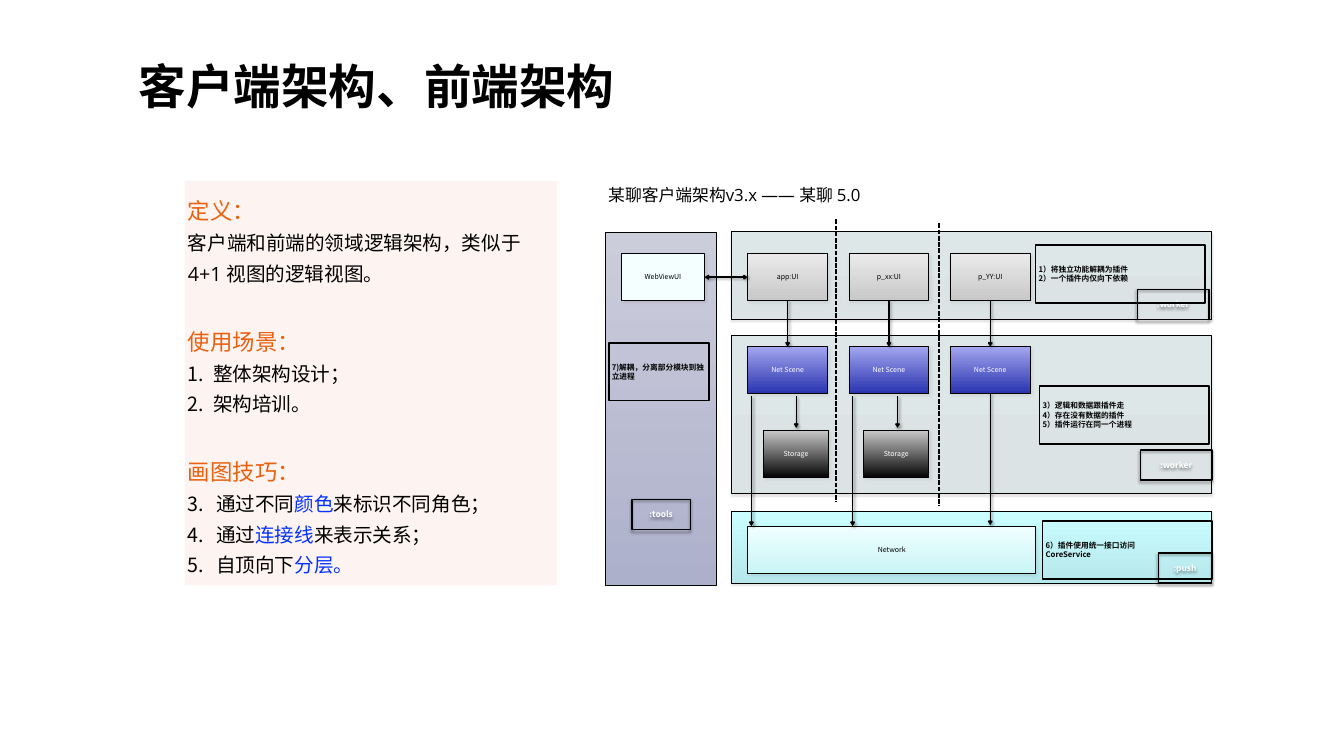
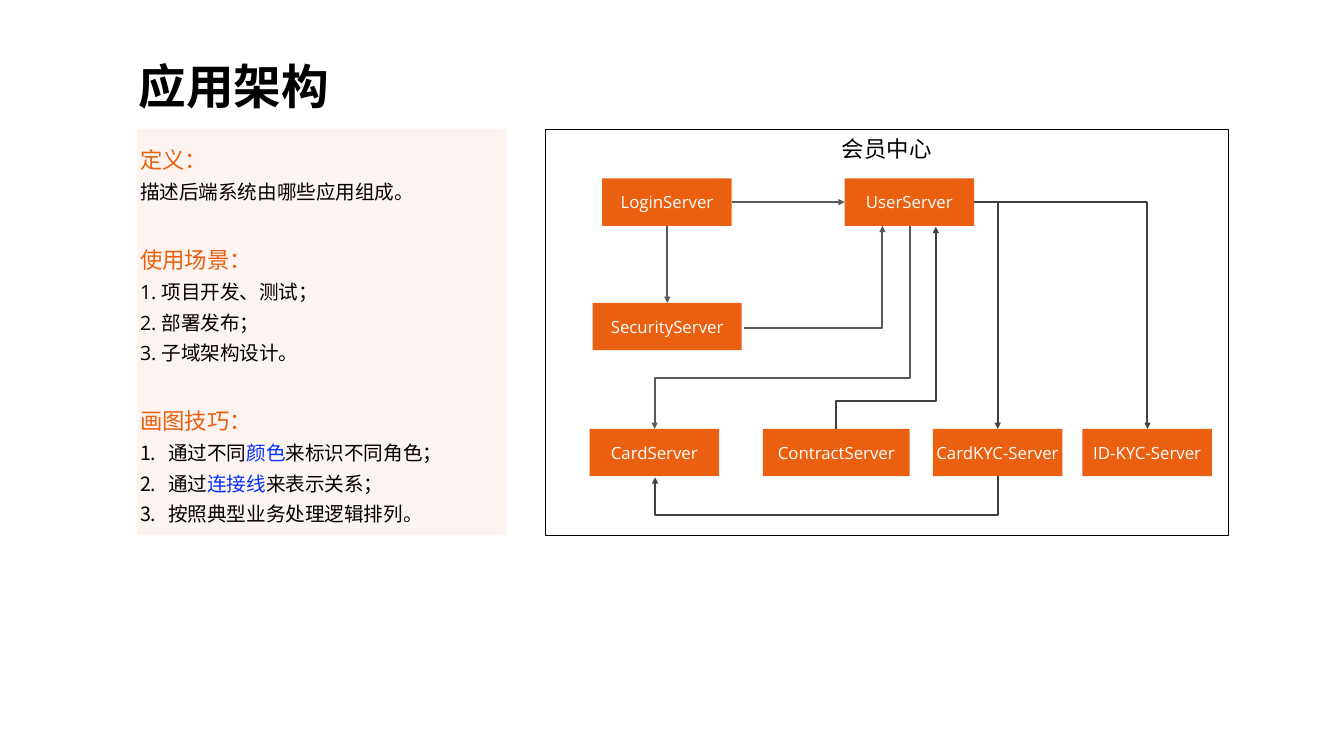
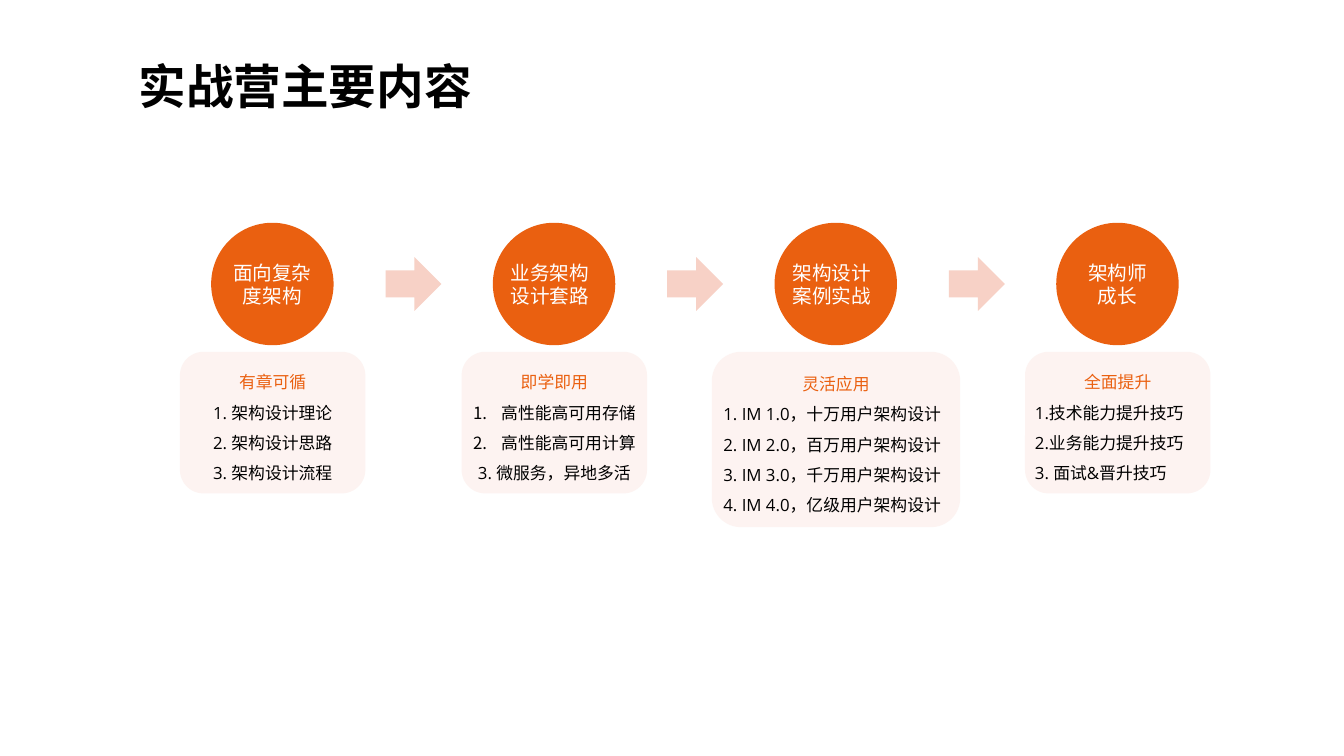
"""Build three slides on client, application and course architecture."""
from dataclasses import dataclass, replace

import lxml.etree
import pptx
import pptx.dml.color
import pptx.enum.dml
import pptx.enum.lang
import pptx.enum.shapes
import pptx.enum.text
import pptx.oxml.ns
import pptx.util

SHAPE = pptx.enum.shapes.MSO_SHAPE
CONNECTOR = pptx.enum.shapes.MSO_CONNECTOR
ALIGN = pptx.enum.text.PP_ALIGN
ANCHOR = pptx.enum.text.MSO_ANCHOR
Insets = tuple[float, float, float, float]

COLOURS = {
    "black": "000000", "white": "FFFFFF", "orange": "EA6010", "heading": "E9600E",
    "blush": "FDF3F1", "arrow": "F7D1C6", "blue": "0432FF", "grey": "595959",
    "dark": "404040", "ice": "F4FFFF",
}
GRADIENTS = {
    "tools": ("CCCDDB", "ADB0CB"), "layer": ("DEE7E7", "DCE3E4"),
    "push": ("CBFEFF", "B6E7EB"), "ui": ("EAEAEA", "C8C8C8"),
    "scene": ("A3A6EF", "2933AF"), "storage": ("C8C8C8", "050505"),
    "network": ("EFFEFF", "C9F5F6"),
}
OPEN_SANS = "Open Sans"
NOTO = "Noto Sans CJK JP"
PADDED = (0.06, 0.06, 0.06, 0.06)
FLUSH = (0, 0, 0, 0)


@dataclass(frozen=True)
class Shadow:
    """Outer shadow: opacity in percent, blur and distance in points, angle in degrees."""
    opacity: int
    blur: int
    distance: int
    angle: int


@dataclass(frozen=True)
class Para:
    """One paragraph; parts between bars take the accent colour."""
    text: str
    size: int
    colour: str = "black"
    bold: bool = False
    font: str = OPEN_SANS
    align: ALIGN = ALIGN.LEFT
    spacing: float = 1.0
    before: int = 0
    indent: float = 0
    start: int = 0


@dataclass(frozen=True)
class Box:
    """One preset shape with its look and text, placed in inches."""
    left: float
    top: float
    width: float
    height: float
    fill: str = ""
    line: float = 0
    paras: tuple[Para, ...] = ()
    inset: Insets = PADDED
    anchor: ANCHOR = ANCHOR.MIDDLE
    shadow: Shadow | None = None
    preset: SHAPE = SHAPE.RECTANGLE


@dataclass(frozen=True)
class Link:
    """One line, straight or bent; bend is the share of the way to the turn."""
    start: tuple[float, float]
    end: tuple[float, float]
    colour: str = "grey"
    weight: float = 3
    tail: str = "triangle"
    head: str = ""
    dashed: bool = False
    bent: bool = False
    vertical: bool = False
    bend: float | None = None
    shadow: Shadow | None = None


LAYER_SHADOW = Shadow(10, 2, 2, 90)
NODE_SHADOW = Shadow(8, 5, 3, 45)
TAG_SHADOW = Shadow(40, 4, 3, 90)
FLOW_SHADOW = Shadow(40, 4, 3, 45)


def length(inches: float) -> pptx.util.Length:
    """Turn inches into a length."""
    return pptx.util.Cm(inches * 2.54)


def rgb(name: str) -> pptx.dml.color.RGBColor:
    """Look up a colour."""
    return pptx.dml.color.RGBColor.from_string(COLOURS[name])


def assign(target: object, values: dict) -> None:
    """Set each named attribute."""
    for name, value in values.items():
        setattr(target, name, value)


def add_xml(parent, tag: str, **attributes: object):
    """Append one drawing element."""
    child = lxml.etree.SubElement(parent, pptx.oxml.ns.qn(f"a:{tag}"))
    for name, value in attributes.items():
        child.set(name, str(value))
    return child


def add_shadow(effects, shadow: Shadow | None) -> None:
    """Put a shadow in an effect list."""
    if shadow is None:
        return
    outer = add_xml(effects, "outerShdw", blurRad=shadow.blur * 12700, dist=shadow.distance * 12700,
                    dir=shadow.angle * 60000, algn="ctr", rotWithShape=0)
    add_xml(add_xml(outer, "srgbClr", val=COLOURS["black"]), "alpha", val=shadow.opacity * 1000)


def write(frame, paras: tuple[Para, ...], inset: Insets, anchor: ANCHOR) -> None:
    """Fill a text frame."""
    sides = ("margin_left", "margin_top", "margin_right", "margin_bottom")
    assign(frame, dict(zip(sides, map(length, inset))))
    assign(frame, {"word_wrap": True, "vertical_anchor": anchor,
                   "auto_size": pptx.enum.text.MSO_AUTO_SIZE.NONE})
    for index, para in enumerate(paras):
        paragraph = frame.add_paragraph() if index else frame.paragraphs[0]
        assign(paragraph, {"alignment": para.align, "line_spacing": para.spacing,
                           "space_before": pptx.util.Pt(para.before)})
        for part, words in enumerate(para.text.split("|")):
            if not words:
                continue
            run = paragraph.add_run()
            run.text = words
            assign(run.font, {"name": para.font, "size": pptx.util.Pt(para.size), "bold": para.bold,
                              "language_id": pptx.enum.lang.MSO_LANGUAGE_ID.SIMPLIFIED_CHINESE})
            run.font.color.rgb = rgb("blue" if part % 2 else para.colour)
        if para.start:
            properties = paragraph._p.get_or_add_pPr()
            properties.set("marL", str(length(para.indent)))
            properties.set("indent", str(-length(para.indent)))
            add_xml(properties, "buAutoNum", type="arabicPeriod", startAt=para.start)


def draw_box(slide, box: Box) -> None:
    """Draw a preset shape."""
    shape = slide.shapes.add_shape(
        box.preset, *map(length, (box.left, box.top, box.width, box.height)))
    shape.shadow.inherit = False
    add_shadow(shape.element.spPr.find(pptx.oxml.ns.qn("a:effectLst")), box.shadow)
    if box.fill in GRADIENTS:
        shape.fill.gradient()
        shape.fill.gradient_angle = 270
        for stop, colour in zip(shape.fill.gradient_stops, GRADIENTS[box.fill]):
            stop.color.rgb = pptx.dml.color.RGBColor.from_string(colour)
    elif box.fill:
        shape.fill.solid()
        shape.fill.fore_color.rgb = rgb(box.fill)
    else:
        shape.fill.background()
    if box.line:
        shape.line.color.rgb = rgb("black")
        shape.line.width = pptx.util.Pt(box.line)
    else:
        shape.line.fill.background()
    if box.paras:
        write(shape.text_frame, box.paras, box.inset, box.anchor)


def draw_link(slide, link: Link) -> None:
    """Draw a connector, turned a quarter when it leaves vertically."""
    kind = CONNECTOR.ELBOW if link.bent else CONNECTOR.STRAIGHT
    connector = slide.shapes.add_connector(kind, *map(length, link.start + link.end))
    properties = connector.element.spPr
    if link.bent:
        geometry = properties.find(pptx.oxml.ns.qn("a:prstGeom"))
        geometry.set("prst", "bentConnector2" if link.bend is None else "bentConnector3")
        if link.bend is not None:
            guides = geometry.find(pptx.oxml.ns.qn("a:avLst"))
            if guides is None:
                guides = add_xml(geometry, "avLst")
            add_xml(guides, "gd", name="adj1", fmla=f"val {round(link.bend * 100000)}")
    if link.vertical:
        (x1, y1), (x2, y2) = link.start, link.end
        width, height = abs(y2 - y1), abs(x2 - x1)
        assign(connector, {"left": length((x1 + x2 - width) / 2),
                           "top": length((y1 + y2 - height) / 2),
                           "width": length(width), "height": length(height)})
        transform = properties.find(pptx.oxml.ns.qn("a:xfrm"))
        for name, value in {"rot": 5400000, "flipH": int(y1 > y2), "flipV": int(x1 < x2)}.items():
            transform.set(name, str(value))
    connector.line.color.rgb = rgb(link.colour)
    connector.line.width = pptx.util.Pt(link.weight)
    if link.dashed:
        connector.line.dash_style = pptx.enum.dml.MSO_LINE.SQUARE_DOT
    outline = connector.line._get_or_add_ln()
    for tag, arrow in (("headEnd", link.head), ("tailEnd", link.tail)):
        if arrow:
            add_xml(outline, tag, type=arrow)
    add_shadow(add_xml(properties, "effectLst"), link.shadow)


def add_slide(deck, title: str, width: float = 18.33):
    """Add a slide with the shared title style."""
    slide = deck.slides.add_slide(deck.slide_layouts[5])
    heading = slide.shapes.title
    assign(heading, dict(zip(("left", "top", "width", "height"),
                             map(length, (2.69, 1.07, width, 1.43)))))
    write(heading.text_frame, (Para(title, 68, bold=True),), PADDED, ANCHOR.TOP)
    return slide


def guide(sections: dict[str, tuple[Para, ...]]) -> tuple[Para, ...]:
    """Put each section's heading above its lines."""
    paras = []
    for heading, lines in sections.items():
        paras.append(Para(heading, 32, "heading", spacing=1.3, before=49 if paras else 0))
        paras.extend(lines)
    return tuple(paras)


def body(*lines: str, indent: float = 0, start: int = 0) -> tuple[Para, ...]:
    """Make guide lines, numbered when a start is given."""
    return tuple(Para(line, 28, spacing=1.3, indent=indent, start=start) for line in lines)


def node(left: float, top: float, width: float, label: str, fill: str,
         colour: str = "black", line: float = 1.25) -> Box:
    """Make a module of the client diagram."""
    return Box(left, top, width, 0.93, fill, line,
               (Para(label, 10, colour, font=NOTO, align=ALIGN.CENTER),), FLUSH, shadow=NODE_SHADOW)


def tag(left: float, top: float, width: float, label: str) -> Box:
    """Make a process label."""
    return Box(left, top, width, 0.6, "", 2.25,
               (Para(label, 12, "white", True, NOTO, ALIGN.CENTER),), shadow=TAG_SHADOW)


def note(left: float, top: float, width: float, *lines: str) -> Box:
    """Make a framed remark."""
    return Box(left, top, width, 1.15, "", 2.25,
               tuple(Para(line, 11, bold=True, font=NOTO) for line in lines))


def client_slide(deck) -> None:
    """Draw the client architecture."""
    slide = add_slide(deck, "客户端架构、前端架构")
    draw_box(slide, Box(3.67, 3.59, 7.38, 8.02, "blush", paras=guide({
        "定义：": body("客户端和前端的领域逻辑架构，类似于4+1 视图的逻辑视图。"),
        "使用场景：": body("整体架构设计；", "架构培训。", indent=0.5, start=1),
        "画图技巧：": body("通过不同|颜色|来标识不同角色；", "通过|连接线|来表示关系；",
                      "自顶向下|分层。|", indent=0.56, start=3)})))
    columns = [14.84 + 2.01 * index for index in range(3)]
    boxes = [Box(12.01, 4.62, 2.21, 6.99, "tools", 1.25),
             tag(12.54, 9.91, 1.16, ":tools"),
             note(12.08, 6.8, 1.99, "7)解耦，分离部分模块到独立进程"),
             node(12.33, 5.03, 1.65, "WebViewUI", "ice", line=0.5)]
    boxes += [Box(14.52, top, 9.53, height, fill, 1.25, shadow=LAYER_SHADOW)
              for top, height, fill in ((4.6, 1.74, "layer"), (6.66, 3.14, "layer"),
                                        (10.14, 1.44, "push"))]
    for left, label in zip(columns, ("app:UI", "p_xx:UI", "p_YY:UI")):
        boxes += [node(left, 5.03, 1.58, label, "ui"),
                  node(left, 6.88, 1.58, "Net Scene", "scene", "white")]
    boxes += [node(left, 8.54, 1.29, "Storage", "storage", "white") for left in (15.15, 17.14)]
    boxes.append(node(14.84, 10.45, 5.71, "Network", "network"))
    for box in boxes:
        draw_box(slide, box)

    flow = Link((13.98, 5.5), (14.84, 5.5), "black", 2, "arrow", "arrow", shadow=FLOW_SHADOW)
    draw_link(slide, flow)
    drops = [(left + 0.79, 5.96, 6.88) for left in columns]
    drops.append((columns[2] + 0.79, 7.81, 10.42))
    for left in columns[:2]:
        drops += [(left + 0.07, 7.86, 10.44), (left + 0.96, 7.86, 8.49)]
    for x, top, bottom in drops:
        draw_link(slide, replace(flow, start=(x, top), end=(x, bottom), head=""))
    for x, top in ((16.59, 4.35), (18.63, 4.43)):
        draw_link(slide, Link((x, top), (x, top + 5.6), "black", 2.25, "", dashed=True))

    for box in (tag(22.63, 8.93, 1.42, ":worker"),
                note(20.63, 7.66, 3.36, "3）逻辑和数据跟插件走", "4）存在没有数据的插件",
                     "5）插件运行在同一个进程"),
                tag(22.57, 5.74, 1.42, ":worker"),
                note(20.55, 4.86, 3.36, "1）将独立功能解耦为插件", "2）一个插件内仅向下依赖"),
                tag(22.99, 10.97, 1.05, ":push"),
                note(20.69, 10.34, 3.36, "6）插件使用统一接口访问", "CoreService")):
        draw_box(slide, box)
    caption = slide.shapes.add_textbox(*map(length, (12.01, 3.28, 10.47, 1.15)))
    write(caption.text_frame, (Para("某聊客户端架构v3.x —— 某聊 5.0", 24),), PADDED, ANCHOR.MIDDLE)


def application_slide(deck) -> None:
    """Draw the application architecture."""
    slide = add_slide(deck, "应用架构")
    draw_box(slide, Box(10.82, 2.56, 13.55, 8.06, "white", 0.75,
                        (Para("会员中心", 32, align=ALIGN.CENTER),), (0, 0.12, 0, 0), ANCHOR.TOP,
                        preset=SHAPE.FLOWCHART_PROCESS))
    draw_box(slide, Box(2.72, 2.56, 7.33, 8.06, "blush", paras=guide({
        "定义：": body("描述后端系统由哪些应用组成。"),
        "使用场景：": body("1. 项目开发、测试；", "2. 部署发布；", "3. 子域架构设计。"),
        "画图技巧：": body("通过不同|颜色|来标识不同角色；", "通过|连接线|来表示关系；",
                      "按照典型业务处理逻辑排列。", indent=0.56, start=1)})))
    for left, top, width, server in (
            (11.95, 3.54, 2.57, "LoginServer"), (16.76, 3.54, 2.57, "UserServer"),
            (11.76, 6.01, 2.96, "SecurityServer"), (11.7, 8.51, 2.57, "CardServer"),
            (15.14, 8.51, 2.91, "ContractServer"), (18.51, 8.51, 2.57, "CardKYC-Server"),
            (21.48, 8.51, 2.57, "ID-KYC-Server")):
        draw_box(slide, Box(left, top, width, 0.94, "orange", inset=FLUSH,
                            paras=(Para(server, 24, "white", align=ALIGN.CENTER),)))
    for link in (
            Link((14.53, 4.01), (16.76, 4.01)),
            Link((13.24, 4.48), (13.24, 6.01)),
            Link((19.8, 9.45), (13, 9.47), "dark", bent=True, vertical=True, bend=38),
            Link((18.05, 4.48), (12.99, 8.51), bent=True, vertical=True, bend=0.75),
            Link((19.33, 4.01), (22.77, 8.51), "dark", bent=True),
            Link((19.33, 4.01), (19.8, 8.51), "dark", bent=True),
            Link((14.77, 6.51), (17.51, 4.48), bent=True),
            Link((16.59, 8.51), (18.57, 4.5), "dark", bent=True, vertical=True, bend=0.14)):
        draw_link(slide, link)


def course_slide(deck) -> None:
    """Draw the four course stages."""
    slide = add_slide(deck, "实战营主要内容", 21.28)
    centre, left = ALIGN.CENTER, ALIGN.LEFT
    stages = (
        (("面向复杂度架构",), centre, 3.68, 2.81, "有章可循", centre, 0,
         ("1. 架构设计理论", "2. 架构设计思路", "3. 架构设计流程")),
        (("业务架构设计套路",), left, 3.68, 2.81, "即学即用", centre, 2,
         ("高性能高可用存储", "高性能高可用计算", "3. 微服务，异地多活")),
        (("架构设计案例实战",), left, 4.93, 3.48, "灵活应用", left, 0,
         ("1. IM 1.0，十万用户架构设计", "2. IM 2.0，百万用户架构设计",
          "3. IM 3.0，千万用户架构设计", "4. IM 4.0，亿级用户架构设计")),
        (("架构师", "成长"), centre, 3.68, 2.81, "全面提升", left, 0,
         ("1.技术能力提升技巧", "2.业务能力提升技巧", "3. 面试&晋升技巧")),
    )
    for index, (names, name_align, width, height, gain, align, numbered, topics) in enumerate(stages):
        offset = 5.59 * index
        draw_box(slide, Box(4.19 + offset, 4.42, 2.43, 2.43, "orange", inset=FLUSH,
                            paras=tuple(Para(name, 28, "white", align=name_align) for name in names),
                            preset=SHAPE.OVAL))
        paras = [Para(gain, 24, "orange", align=centre, spacing=1.5)]
        paras += [Para(topic, 24, align=align, spacing=1.5, indent=0.56, start=int(row < numbered))
                  for row, topic in enumerate(topics)]
        draw_box(slide, Box(5.41 + offset - width / 2, 6.98, width, height, "blush",
                            paras=tuple(paras), preset=SHAPE.ROUNDED_RECTANGLE))
        if index < len(stages) - 1:
            draw_box(slide, Box(7.65 + offset, 5.1, 1.11, 1.07, "arrow", preset=SHAPE.RIGHT_ARROW))


def main() -> None:
    """Build and save the deck."""
    deck = pptx.Presentation()
    assign(deck, {"slide_width": length(26.67), "slide_height": length(15)})
    for build in (client_slide, application_slide, course_slide):
        build(deck)
    deck.save("out.pptx")


main()
